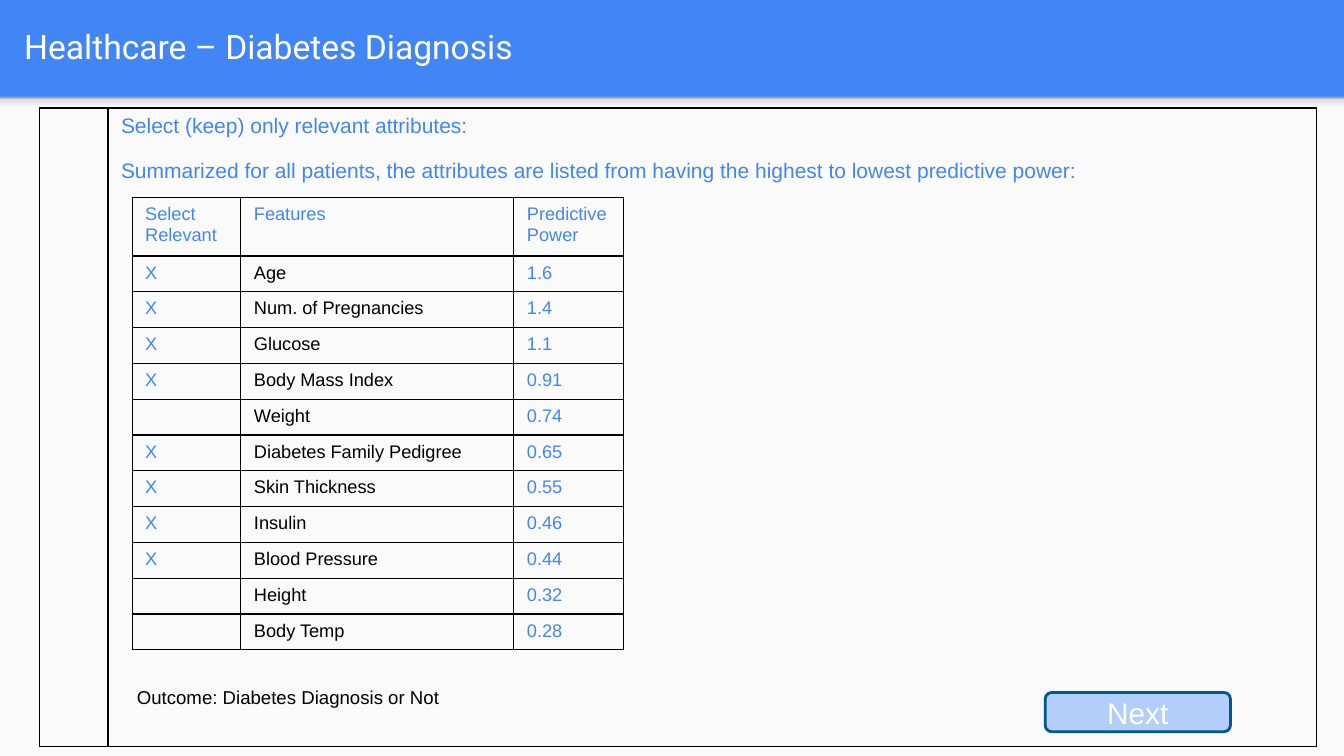
"""Build the diabetes attribute selection slide."""
from copy import deepcopy

from pptx import Presentation
from pptx import util as u
from pptx.dml import color
from pptx.enum import shapes, text
from pptx.oxml import parse_xml, ns

COLORS = {"blue": "4285F4", "pale": "B3CEFB", "edge": "01588C", "paper": "FAFAFA",
          "white": "FFFFFF", "black": "000000"}
SHADE = [(0, "F9F9F9"), (0.36, "F9F9F9"), (0.8, "DEDEDE"), (1, "999999")]
INTRO = ["Select (keep) only relevant attributes:",
         "Summarized for all patients, the attributes are listed from having "
         "the highest to lowest predictive power:"]
FEATURES = [("X", "Age", "1.6"), ("X", "Num. of Pregnancies", "1.4"),
            ("X", "Glucose", "1.1"), ("X", "Body Mass Index", "0.91"),
            ("", "Weight", "0.74"), ("X", "Diabetes Family Pedigree", "0.65"),
            ("X", "Skin Thickness", "0.55"), ("X", "Insulin", "0.46"),
            ("X", "Blood Pressure", "0.44"), ("", "Height", "0.32"),
            ("", "Body Temp", "0.28")]


def rgb(name):
    return color.RGBColor.from_string(COLORS[name])


def cm(box):
    return [u.Cm(v) for v in box]


def write(tf, words, size, tone, font="Arial"):
    tf.text = words
    for p in tf.paragraphs:
        if not p.runs:
            p._p.get_or_add_endParaRPr().set("sz", str(int(size * 100)))
        for r in p.runs:
            r.font.size, r.font.name = u.Pt(size), font
            r.font.color.rgb = rgb(tone)


def add_box(s, kind, box, fill):
    sp = s.shapes.add_shape(kind, *cm(box))
    sp.shadow.inherit = False
    sp.fill.solid()
    sp.fill.fore_color.rgb = rgb(fill)
    sp.line.fill.background()
    return sp


def add_label(s, box, words, size, tone, font="Arial"):
    tf = s.shapes.add_textbox(*cm(box)).text_frame
    tf.word_wrap = True
    write(tf, words, size, tone, font)
    return tf


def style_cell(cell):
    cell.fill.background()
    cell.margin_left = cell.margin_right = u.Cm(0.33)
    cell.margin_top = cell.margin_bottom = u.Cm(0.17)
    pr = cell._tc.get_or_add_tcPr()
    for i, side in enumerate(("lnL", "lnR", "lnT", "lnB")):
        pr.insert(i, parse_xml(
            f'<a:{side} {ns.nsdecls("a")} w="{u.Pt(1)}"><a:solidFill>'
            f'<a:srgbClr val="{COLORS["black"]}"/></a:solidFill></a:{side}>'))


def add_grid(s, left, top, widths, heights):
    box = cm((left, top, sum(widths), sum(heights)))
    tbl = s.shapes.add_table(len(heights), len(widths), *box).table
    tbl.first_row = tbl.horz_banding = False
    for col, w in zip(tbl.columns, widths):
        col.width = u.Cm(w)
    for row, h in zip(tbl.rows, heights):
        row.height = u.Cm(h)
    for cell in tbl.iter_cells():
        style_cell(cell)
    return tbl


def add_header(s, x, y, w, h):
    tf = add_label(s, (x + 0.36, y + 0.05, w - 1.18, h - 0.2),
                   "Healthcare – Diabetes Diagnosis", 24, "white", "Roboto")
    tf.vertical_anchor = text.MSO_ANCHOR.MIDDLE
    tf.margin_left = tf.margin_right = tf.margin_top = tf.margin_bottom = u.Cm(0.25)


def add_panel(s, x, y, w, h):
    rect = shapes.MSO_SHAPE.RECTANGLE
    add_box(s, rect, (x, y, w, h), "paper")
    sp = add_box(s, rect, (x, y, w, 0.4), "paper")
    sp.fill.gradient()
    sp.fill.gradient_angle = 90
    stops = sp._element.spPr.find(".//" + ns.qn("a:gsLst"))
    for stop in list(stops):
        stops.append(deepcopy(stop))
    for stop, (pos, tone) in zip(sp.fill.gradient_stops, SHADE):
        stop.position = pos
        stop.color.rgb = color.RGBColor.from_string(tone)


def add_frame(s, x, y, w, h):
    tbl = add_grid(s, x, y, [1.73, w - 1.73], [h])
    tf = tbl.cell(0, 1).text_frame
    write(tf, "\n".join(INTRO), 15, "blue")
    tf.paragraphs[1].space_before = u.Pt(15.5)


def add_features(s, x, y, h):
    head = 1.47
    rows = [("Select\nRelevant", "Features", "Predictive Power")] + FEATURES
    step = (h - head) / len(FEATURES)
    tbl = add_grid(s, x, y, [2.74, 6.88, 2.77], [head] + [step] * len(FEATURES))
    for i, row in enumerate(rows):
        for j, words in enumerate(row):
            tone = "black" if i and j == 1 else "blue"
            write(tbl.cell(i, j).text_frame, words, 13, tone)


def add_footer(s, x, y, w):
    sp = add_box(s, shapes.MSO_SHAPE.ROUNDED_RECTANGLE,
                 (x + w - 4.67, y + 0.3, 4.67, 0.99), "pale")
    sp.line.color.rgb = rgb("edge")
    sp.line.width = u.Pt(2)
    tf = sp.text_frame
    write(tf, "Next", 21.3, "white")
    tf.vertical_anchor = text.MSO_ANCHOR.MIDDLE
    tf.paragraphs[0].alignment = text.PP_ALIGN.CENTER
    add_label(s, (x, y, 17.35, 0.84), "Outcome: Diabetes Diagnosis or Not", 13.3, "black")


def main():
    prs = Presentation()
    prs.slide_width, prs.slide_height = cm((33.87, 19.05))
    s = prs.slides.add_slide(prs.slide_layouts[6])
    s.background.fill.solid()
    s.background.fill.fore_color.rgb = rgb("blue")
    add_panel(s, 0, 2.44, 33.87, 16.61)
    add_header(s, 0, 0, 33.87, 2.44)
    add_frame(s, 0.99, 2.72, 32.18, 16.1)
    add_features(s, 3.33, 4.98, 11.4)
    add_footer(s, 3.2, 17.15, 27.81)
    prs.save("out.pptx")


main()
